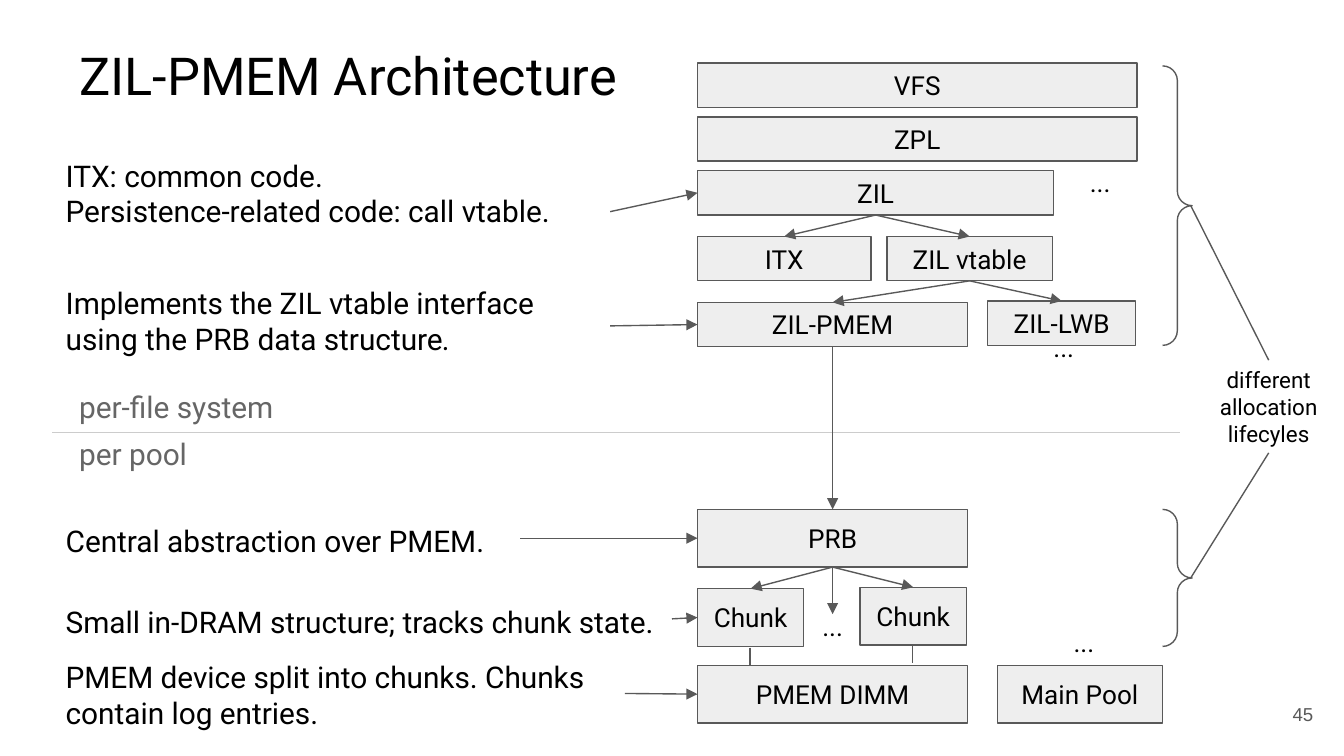
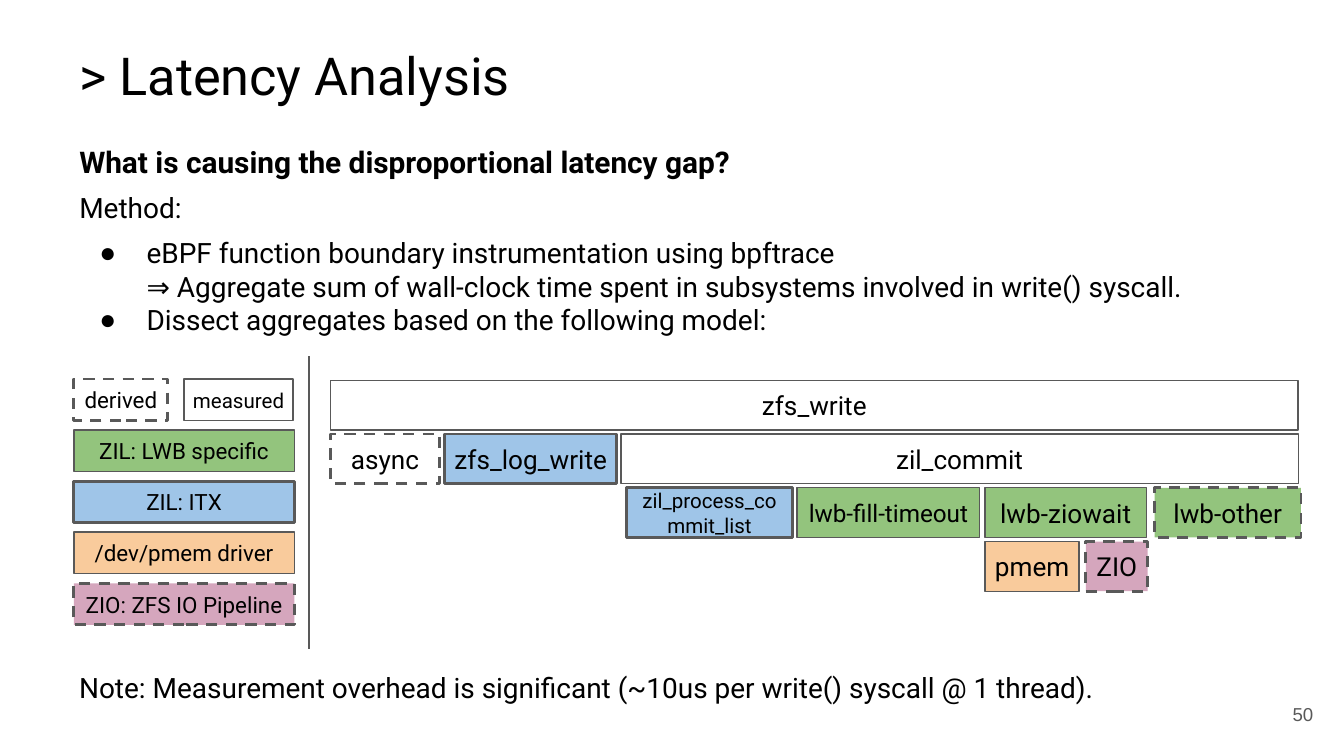
from copy import deepcopy

from lxml.etree import SubElement
from pptx import Presentation
from pptx.dml.color import RGBColor
from pptx.enum.dml import MSO_LINE
from pptx.enum.shapes import MSO_CONNECTOR, MSO_SHAPE
from pptx.enum.text import MSO_ANCHOR, MSO_AUTO_SIZE, PP_ALIGN
from pptx.oxml.ns import qn
from pptx.util import Pt

PIXEL = 9144  # EMU, so 100 px make one inch
FONT, PLAIN_FONT = "Roboto", "Arial"
BLACK, DARK, MUTED, RULE = "000000", "595959", "666666", "CCCCCC"
GREY, GREEN, BLUE, ORANGE, PINK = "EEEEEE", "93C47D", "9FC5E8", "F9CB9C", "D5A6BD"
TOP, LEFT, BOTTOM, RIGHT = range(4)  # connection sites of a rectangle


def px(*lengths):
    return [length * PIXEL for length in lengths]


def rgb(color):
    return RGBColor.from_string(color)


def style_run(run, size, color=BLACK, font=FONT, bold=False, italic=False):
    run.font.size = Pt(size)
    run.font.name = font
    run.font.bold = bold
    run.font.italic = italic
    run.font.color.rgb = rgb(color)


def set_bullet(paragraph, bullet):
    properties = paragraph._p.get_or_add_pPr()
    margin, indent = px(50, -35) if bullet else (0, 0)
    properties.set("marL", str(margin))
    properties.set("indent", str(indent))
    if not bullet:
        SubElement(properties, qn("a:buNone"))
        return
    color = SubElement(properties, qn("a:buClr"))
    SubElement(color, qn("a:srgbClr")).set("val", BLACK)
    SubElement(properties, qn("a:buFont")).set("typeface", PLAIN_FONT)
    SubElement(properties, qn("a:buChar")).set("char", bullet)


def write_paragraph(paragraph, text, size, align=PP_ALIGN.LEFT, before=0, after=0,
                    bullet=None, **run_format):
    """Fill a paragraph; a vertical tab in the text becomes a line break."""
    paragraph.text = text
    set_bullet(paragraph, bullet)
    paragraph.alignment = align
    paragraph.space_before = Pt(before)
    paragraph.space_after = Pt(after)
    for run in paragraph.runs:
        style_run(run, size, **run_format)
    for line_break in paragraph._p.findall(qn("a:br")):
        line_break.append(deepcopy(paragraph.runs[0].font._element))


def set_frame(shape, anchor=MSO_ANCHOR.TOP, insets=(10, 10)):
    frame = shape.text_frame
    frame.word_wrap = True
    frame.auto_size = MSO_AUTO_SIZE.NONE
    frame.vertical_anchor = anchor
    frame.margin_left = frame.margin_right = insets[0] * PIXEL
    frame.margin_top = frame.margin_bottom = insets[1] * PIXEL
    return frame


def write(shape, text, size, anchor=MSO_ANCHOR.TOP, insets=(10, 10), **paragraph_format):
    frame = set_frame(shape, anchor, insets)
    for index, line in enumerate(text.split("\n")):
        paragraph = frame.add_paragraph() if index else frame.paragraphs[0]
        write_paragraph(paragraph, line, size, **paragraph_format)


def add_text(slide, bounds, text, size, **text_format):
    shape = slide.shapes.add_textbox(*px(*bounds))
    write(shape, text, size, **text_format)
    return shape


def add_note(slide, bounds, text, size=16, color=BLACK):
    return add_text(slide, bounds, text, size, after=6, color=color)


def add_label(slide, bounds, text, size=14):
    return add_text(slide, bounds, text, size, anchor=MSO_ANCHOR.MIDDLE, align=PP_ALIGN.CENTER)


def add_box(slide, bounds, text, fill=GREY, size=14, insets=(10, 10), weight=0.75,
            dashed=False):
    shape = slide.shapes.add_shape(MSO_SHAPE.RECTANGLE, *px(*bounds))
    shape.shadow.inherit = False
    if fill:
        shape.fill.solid()
        shape.fill.fore_color.rgb = rgb(fill)
    else:
        shape.fill.background()
    shape.line.color.rgb = rgb(DARK)
    shape.line.width = Pt(weight)
    if dashed:
        shape.line.dash_style = MSO_LINE.DASH
    write(shape, text, size, anchor=MSO_ANCHOR.MIDDLE, insets=insets, align=PP_ALIGN.CENTER)
    return shape


def add_model_box(slide, bounds, text, fill=None, size=14, dashed=False):
    """Derived and ITX boxes have the heavy outline."""
    weight = 1.5 if dashed or fill == BLUE else 0.75
    add_box(slide, bounds, text, fill, size, (6, 2), weight, dashed)


def add_brace(slide, bounds):
    brace = slide.shapes.add_shape(MSO_SHAPE.RIGHT_BRACE, *px(*bounds))
    brace.shadow.inherit = False
    brace.fill.background()
    brace.line.color.rgb = rgb(DARK)
    brace.line.width = Pt(0.75)
    brace.adjustments[0] = brace.adjustments[1] = 0.5


def add_line(slide, start, end, color=DARK):
    connector = slide.shapes.add_connector(MSO_CONNECTOR.STRAIGHT, *px(*start, *end))
    connector.line.color.rgb = rgb(color)
    connector.line.width = Pt(0.75)
    SubElement(connector._element.spPr, qn("a:effectLst"))
    return connector


def add_arrow(slide, source, target, source_side=BOTTOM, target_side=TOP):
    connector = add_line(slide, (0, 0), (0, 0))
    connector.begin_connect(source, source_side)
    connector.end_connect(target, target_side)
    SubElement(connector.line._get_or_add_ln(), qn("a:tailEnd")).set("type", "triangle")


def place(shape, bounds):
    shape.left, shape.top, shape.width, shape.height = px(*bounds)


def add_slide(presentation, layout_index, title, title_width, number):
    slide = presentation.slides.add_slide(presentation.slide_layouts[layout_index])
    place(slide.shapes.title, (49, 22, title_width, 88))
    write(slide.shapes.title, title, 28)
    add_text(slide, (927, 510, 60, 43), number, 10, anchor=MSO_ANCHOR.MIDDLE,
             align=PP_ALIGN.RIGHT, font=PLAIN_FONT, color=DARK)
    return slide


def build_architecture(presentation):
    slide = add_slide(presentation, 5, "ZIL-PMEM Architecture", 664, "45")

    add_box(slide, (519, 47, 327, 33), "VFS")
    add_box(slide, (519, 87, 327, 33), "ZPL")
    zil = add_box(slide, (519, 127, 265, 33), "ZIL")
    itx = add_box(slide, (519, 176, 129, 33), "ITX")
    vtable = add_box(slide, (660, 176, 123, 33), "ZIL vtable")
    zil_pmem = add_box(slide, (519, 225, 201, 33), "ZIL-PMEM")
    zil_lwb = add_box(slide, (735, 224, 110, 33), "ZIL-LWB")
    prb = add_box(slide, (519, 379, 201, 43), "PRB")
    first_chunk = add_box(slide, (519, 438, 79, 43), "Chunk")
    last_chunk = add_box(slide, (640, 437, 79, 43), "Chunk")
    dimm = add_box(slide, (519, 495, 201, 43), "PMEM DIMM")
    add_box(slide, (742, 495, 123, 43), "Main Pool")

    for left, top in ((779, 127), (752, 250), (767, 469)):
        add_label(slide, (left, top, 79, 17), "...")
    more_chunks = add_label(slide, (580, 457, 79, 17), "...")

    add_line(slide, (39, 322), (878, 322), RULE)
    add_note(slide, (49, 279, 255, 43), "per-file system", color=MUTED)
    add_note(slide, (49, 314, 255, 43), "per pool", color=MUTED)

    for source, target in ((zil, itx), (zil, vtable), (vtable, zil_pmem), (vtable, zil_lwb),
                           (zil_pmem, prb), (prb, first_chunk), (prb, more_chunks),
                           (prb, last_chunk)):
        add_arrow(slide, source, target)
    add_line(slide, (558, 482), (558, 495))
    add_line(slide, (679, 480), (679, 493))

    notes = (
        ((39, 107, 415, 101), "ITX: common code.\vPersistence-related code: call vtable.", zil),
        ((39, 202, 415, 81),
         "Implements the ZIL vtable interface using the PRB data structure", zil_pmem),
        ((39, 379, 348, 43), "Central abstraction over PMEM.", prb),
        ((39, 439, 461, 43), "Small in-DRAM structure; tracks chunk state.", first_chunk),
        ((39, 480, 426, 72), "PMEM device split into chunks. Chunks contain log entries.", dimm),
    )
    for bounds, text, target in notes:
        note = add_note(slide, bounds, text)
        if target is zil_pmem:
            period = note.text_frame.paragraphs[0].add_run()
            period.text = "."
            style_run(period, 16, italic=True)
        add_arrow(slide, note, target, RIGHT, LEFT)

    add_brace(slide, (865, 49, 22, 208))
    add_brace(slide, (865, 379, 22, 102))
    lifecycles = add_label(slide, (897, 268, 94, 69), "different\nallocation\nlifecyles", 12)
    add_line(slide, (886, 153), (944, 268)).end_connect(lifecycles, TOP)
    add_line(slide, (886, 430), (944, 336)).end_connect(lifecycles, BOTTOM)


def build_latency(presentation):
    slide = add_slide(presentation, 1, "> Latency Analysis", 893, "50")

    body = slide.placeholders[1]
    place(body, (49, 97, 865, 221))
    frame = set_frame(body)
    write_paragraph(frame.paragraphs[0], "What is causing the disproportional latency gap?",
                    16, bold=True)
    for text, before, bullet in (
        ("Method:", 6, None),
        ("eBPF function boundary instrumentation using bpftrace\v⇒ Aggregate sum of "
         "wall-clock time spent in subsystems involved in write() syscall.", 6, "●"),
        ("Dissect aggregates based on the following model:", 0, "●"),
    ):
        write_paragraph(frame.add_paragraph(), text, 15, before=before, bullet=bullet)

    add_model_box(slide, (55, 282, 70, 31), "derived", size=12, dashed=True)
    add_model_box(slide, (137, 282, 81, 31), "measured", size=11)
    legend = (("ZIL: LWB specific", GREEN), ("ZIL: ITX", BLUE),
              ("/dev/pmem driver", ORANGE), ("ZIO: ZFS IO Pipeline", PINK))
    for row, (text, fill) in enumerate(legend, 1):
        add_model_box(slide, (55, 282 + 38 * row, 164, 31), text, fill, 12, fill == PINK)
    add_line(slide, (230, 265), (230, 483))

    # row, left, width, text, fill, size, dashed
    calls = (
        (0, 246, 720, "zfs_write", None, 14, False),
        (1, 246, 81, "async", None, 14, True),
        (1, 331, 128, "zfs_log_write", BLUE, 14, False),
        (1, 462, 504, "zil_commit", None, 14, False),
        (2, 466, 124, "zil_process_commit_list", BLUE, 11, False),
        (2, 593, 136, "lwb-fill-timeout", GREEN, 13, False),
        (2, 733, 120, "lwb-ziowait", GREEN, 14, False),
        (2, 859, 109, "lwb-other", GREEN, 14, True),
        (3, 733, 70, "pmem", ORANGE, 14, False),
        (3, 808, 46, "ZIO", PINK, 14, True),
    )
    for row, left, width, text, fill, size, dashed in calls:
        add_model_box(slide, (left, 283 + 40 * row, width, 37), text, fill, size, dashed)

    add_note(slide, (49, 489, 865, 55), "Note: Measurement overhead is significant "
             "(~10us per write() syscall @ 1 thread).", size=15)


def main():
    presentation = Presentation()
    presentation.slide_width = 1000 * PIXEL
    presentation.slide_height = presentation.slide_width * 9 // 16
    build_architecture(presentation)
    build_latency(presentation)
    presentation.save("out.pptx")


if __name__ == "__main__":
    main()
